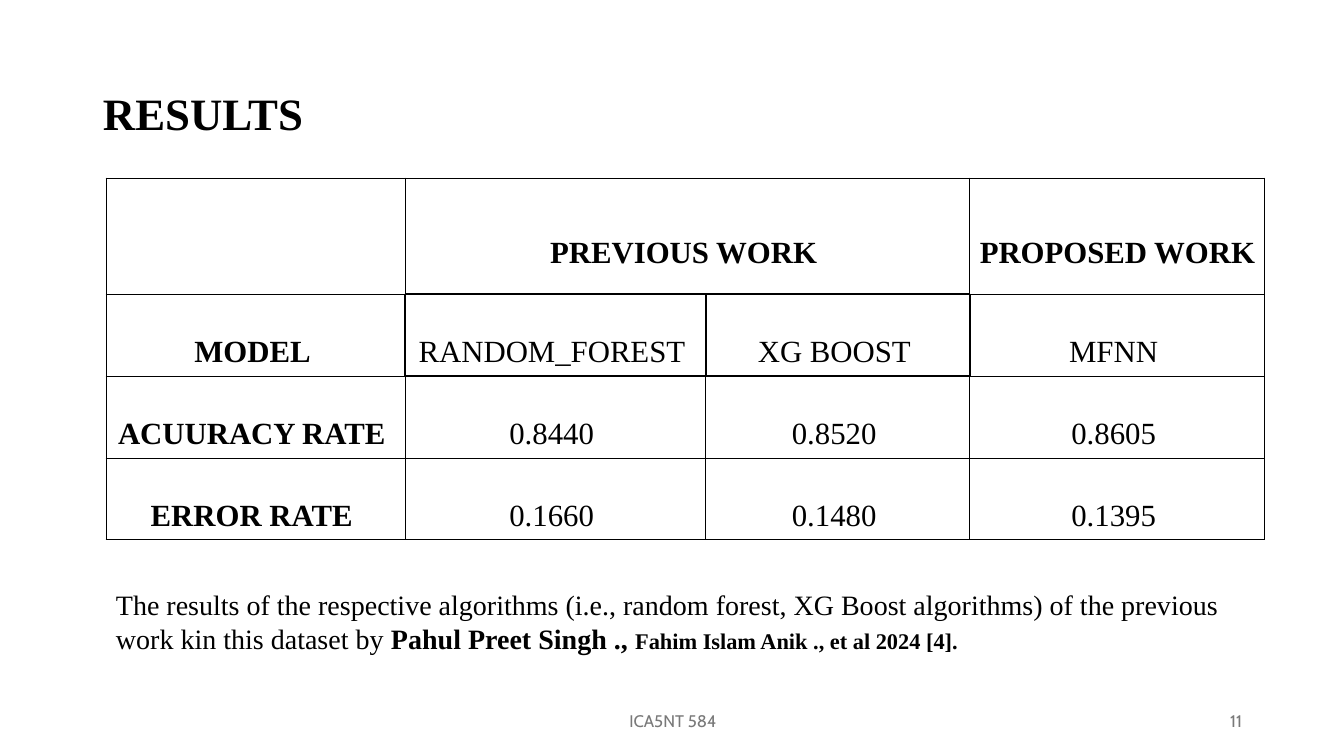
from lxml import etree
from pptx import Presentation
from pptx.dml.color import RGBColor
from pptx.enum.text import MSO_ANCHOR as ANCHOR, PP_ALIGN as ALIGN
from pptx.oxml.ns import qn
from pptx.util import Pt

BLACK = RGBColor(0x00, 0x00, 0x00)
GREY = RGBColor(0x79, 0x79, 0x79)
SERIF, SANS = "Times New Roman", "Cabin"

TITLE = [("RESULTS", 32, True)]
NOTE = [
    ("The results of the respective algorithms (i.e., random forest, XG Boost "
     "algorithms) of the previous work kin this dataset by ", 20, False),
    ("Pahul Preet Singh ., ", 20, True),
    ("Fahim Islam Anik ., et al 2024 [4]. ", 16, True),
]
FOOTER = [("ICA5NT 584", 12, False)]
NUMBER = [("11", 12, False)]

RESULTS = [
    ("", "PREVIOUS WORK ", "", "PROPOSED WORK "),
    ("MODEL ", "RANDOM_FOREST ", "XG BOOST ", "MFNN "),
    ("ACUURACY RATE ", "0.8440 ", "0.8520 ", "0.8605 "),
    ("ERROR RATE ", "0.1660 ", "0.1480 ", "0.1395 "),
]
COLS = [299, 301, 264, 295]
ROWS = [116, 82, 82, 82]
LEFT, TOP, WIDTH = 106, 178, 1159
HEAVY = {(1, 1), (1, 2)}
SIDES = {"L": (0, -1), "R": (0, 1), "T": (-1, 0), "B": (1, 0)}

SLIDE_W, SLIDE_H = 1344, 756
SCALE = 12192000 / SLIDE_W


def px(n):
    return round(n * SCALE)


def add_runs(p, runs, font, color):
    for text, size, bold in runs:
        r = p.add_run()
        r.text = text
        r.font.size = Pt(size)
        r.font.bold = bold
        r.font.name = font
        r.font.color.rgb = color


def add_text(s, box, runs, font=SERIF, color=BLACK, align=ALIGN.LEFT,
             anchor=ANCHOR.MIDDLE, top=5):
    sp = s.shapes.add_textbox(*map(px, box))
    tf = sp.text_frame
    tf.word_wrap = True
    tf.vertical_anchor = anchor
    tf.margin_top = px(top)
    p = tf.paragraphs[0]
    p.alignment = align
    add_runs(p, runs, font, color)


def add_borders(cell, row, col):
    tcPr = cell._tc.get_or_add_tcPr()
    for side, (dr, dc) in SIDES.items():
        heavy = HEAVY & {(row, col), (row + dr, col + dc)}
        ln = etree.SubElement(tcPr, qn(f"a:ln{side}"), w=str(Pt(1 if heavy else 0.75)))
        fill = etree.SubElement(ln, qn("a:solidFill"))
        etree.SubElement(fill, qn("a:srgbClr"), val=str(BLACK))


def add_results(s):
    frame = s.shapes.add_table(len(ROWS), len(COLS), px(LEFT), px(TOP),
                               px(WIDTH), px(sum(ROWS)))
    table = frame.table
    table.first_row = False
    table.horz_banding = False
    for col, w in zip(table.columns, COLS):
        col.width = px(w)
    for row, h in zip(table.rows, ROWS):
        row.height = px(h)
    table.cell(0, 1).merge(table.cell(0, 2))
    for i, texts in enumerate(RESULTS):
        for j, text in enumerate(texts):
            cell = table.cell(i, j)
            add_borders(cell, i, j)
            cell.fill.background()
            cell.vertical_anchor = ANCHOR.MIDDLE
            cell.margin_left = cell.margin_right = px(7)
            cell.margin_top, cell.margin_bottom = px(40), px(5)
            if text:
                p = cell.text_frame.paragraphs[0]
                p.alignment = ALIGN.CENTER
                add_runs(p, [(text, 22, i == 0 or j == 0)], SERIF, BLACK)


def main():
    prs = Presentation()
    prs.slide_width, prs.slide_height = px(SLIDE_W), px(SLIDE_H)
    s = prs.slides.add_slide(prs.slide_layouts[6])
    add_text(s, (93, 40, WIDTH, 146), TITLE)
    add_results(s)
    add_text(s, (LEFT, 551, WIDTH, 166), NOTE, anchor=ANCHOR.TOP, top=37)
    add_text(s, (446, 701, 454, 40), FOOTER, SANS, GREY, ALIGN.CENTER)
    add_text(s, (950, 701, 302, 40), NUMBER, SANS, GREY, ALIGN.RIGHT)
    prs.save("out.pptx")


if __name__ == "__main__":
    main()
